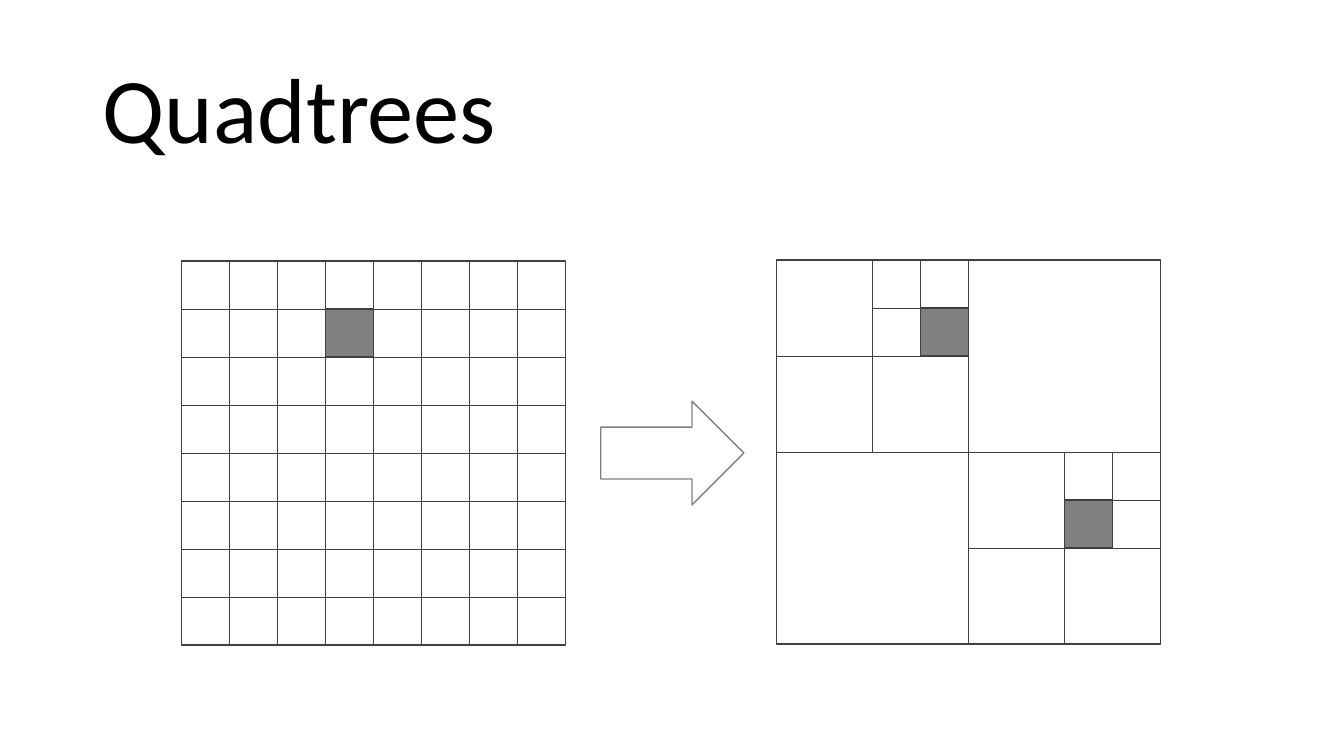
"""Build the Quadtrees slide: a uniform grid turning into a quadtree."""
from dataclasses import dataclass

import pptx
import pptx.dml.color
import pptx.enum.shapes
import pptx.enum.text
import pptx.oxml
import pptx.util

TITLE = "Quadtrees"
TITLE_BOX = (66.24, 28.8, 828, 104.4)
ARROW_BOX = (429.12, 286.56, 102.24, 74.16)
CELLS = 8
CELL = 34.29
GRID_ORIGIN = (129.6, 186.48)
TREE_ORIGIN = (554.6, 185.76)
GRID_FILLED = [(3, 1)]
TREE_FILLED = [(3, 1), (6, 5)]
TREE_SPLITS = [(0, 0, 8), (0, 0, 4), (4, 4, 4), (2, 0, 2), (6, 4, 2)]


@dataclass(frozen=True)
class Theme:
    """Colours, font and sizes of the slide."""
    font: str = "Calibri"
    title_size: float = 66
    text: str = "000000"
    line: str = "404040"
    gray: str = "808080"
    white: str = "FFFFFF"
    outline: float = 1
    rule: float = 0.5


THEME = Theme()
SHAPES = pptx.enum.shapes.MSO_SHAPE


def color(value):
    """Return the RGB colour of a hex string."""
    return pptx.dml.color.RGBColor.from_string(value)


def points(values):
    """Convert numbers to lengths in points."""
    return [pptx.util.Pt(value) for value in values]


def add_block(slide, kind, box, fill, line):
    """Add a preset shape with an optional fill."""
    shape = slide.shapes.add_shape(kind, *points(box))
    shape.shadow.inherit = False
    if fill:
        shape.fill.solid()
        shape.fill.fore_color.rgb = color(fill)
    else:
        shape.fill.background()
    shape.line.color.rgb = color(line)
    shape.line.width = pptx.util.Pt(THEME.outline)


def add_rule(slide, origin, start, end):
    """Add a thin line between two grid positions."""
    ends = [origin[axis] + position[axis] * CELL
            for position in (start, end) for axis in (0, 1)]
    connector = slide.shapes.add_connector(
        pptx.enum.shapes.MSO_CONNECTOR.STRAIGHT, *points(ends))
    connector.line.color.rgb = color(THEME.line)
    connector.line.width = pptx.util.Pt(THEME.rule)
    properties = connector.element.spPr
    properties.append(pptx.oxml.parse_xml(
        '<a:effectLst xmlns:a="http://schemas.openxmlformats.org/drawingml/2006/main"/>'))


def add_square(slide, origin, column, row, size, fill=None):
    """Add a square that covers a number of cells."""
    box = (origin[0] + column * CELL, origin[1] + row * CELL, size * CELL, size * CELL)
    add_block(slide, SHAPES.RECTANGLE, box, fill, THEME.line)


def add_diagram(slide, origin, rules, filled):
    """Add the outer square, its dividing lines and its filled cells."""
    add_square(slide, origin, 0, 0, CELLS)
    for start, end in rules:
        add_rule(slide, origin, start, end)
    for column, row in filled:
        add_square(slide, origin, column, row, 1, THEME.gray)


def grid_rules():
    """Return the lines of the uniform grid."""
    rules = []
    for step in range(1, CELLS):
        rules += [((step, 0), (step, CELLS)), ((0, step), (CELLS, step))]
    return rules


def tree_rules():
    """Return the crosses that split squares into quadrants."""
    rules = []
    for column, row, size in TREE_SPLITS:
        middle_column, middle_row = column + size / 2, row + size / 2
        rules += [((middle_column, row), (middle_column, row + size)),
                  ((column, middle_row), (column + size, middle_row))]
    return rules


def add_title(slide):
    """Place and format the title placeholder."""
    title = slide.shapes.title
    title.left, title.top, title.width, title.height = points(TITLE_BOX)
    frame = title.text_frame
    frame.text = TITLE
    frame.auto_size = pptx.enum.text.MSO_AUTO_SIZE.NONE
    frame.vertical_anchor = pptx.enum.text.MSO_ANCHOR.MIDDLE
    paragraph = frame.paragraphs[0]
    paragraph.alignment = pptx.enum.text.PP_ALIGN.LEFT
    paragraph.line_spacing = 0.9
    font = paragraph.runs[0].font
    font.name = THEME.font
    font.size = pptx.util.Pt(THEME.title_size)
    font.color.rgb = color(THEME.text)


def main():
    """Create and save the presentation."""
    presentation = pptx.Presentation()
    presentation.slide_width, presentation.slide_height = points((960, 540))
    slide = presentation.slides.add_slide(
        presentation.slide_layouts.get_by_name("Title Only"))
    add_title(slide)
    add_diagram(slide, GRID_ORIGIN, grid_rules(), GRID_FILLED)
    add_diagram(slide, TREE_ORIGIN, tree_rules(), TREE_FILLED)
    add_block(slide, SHAPES.RIGHT_ARROW, ARROW_BOX, THEME.white, THEME.gray)
    presentation.save("out.pptx")


if __name__ == "__main__":
    main()
